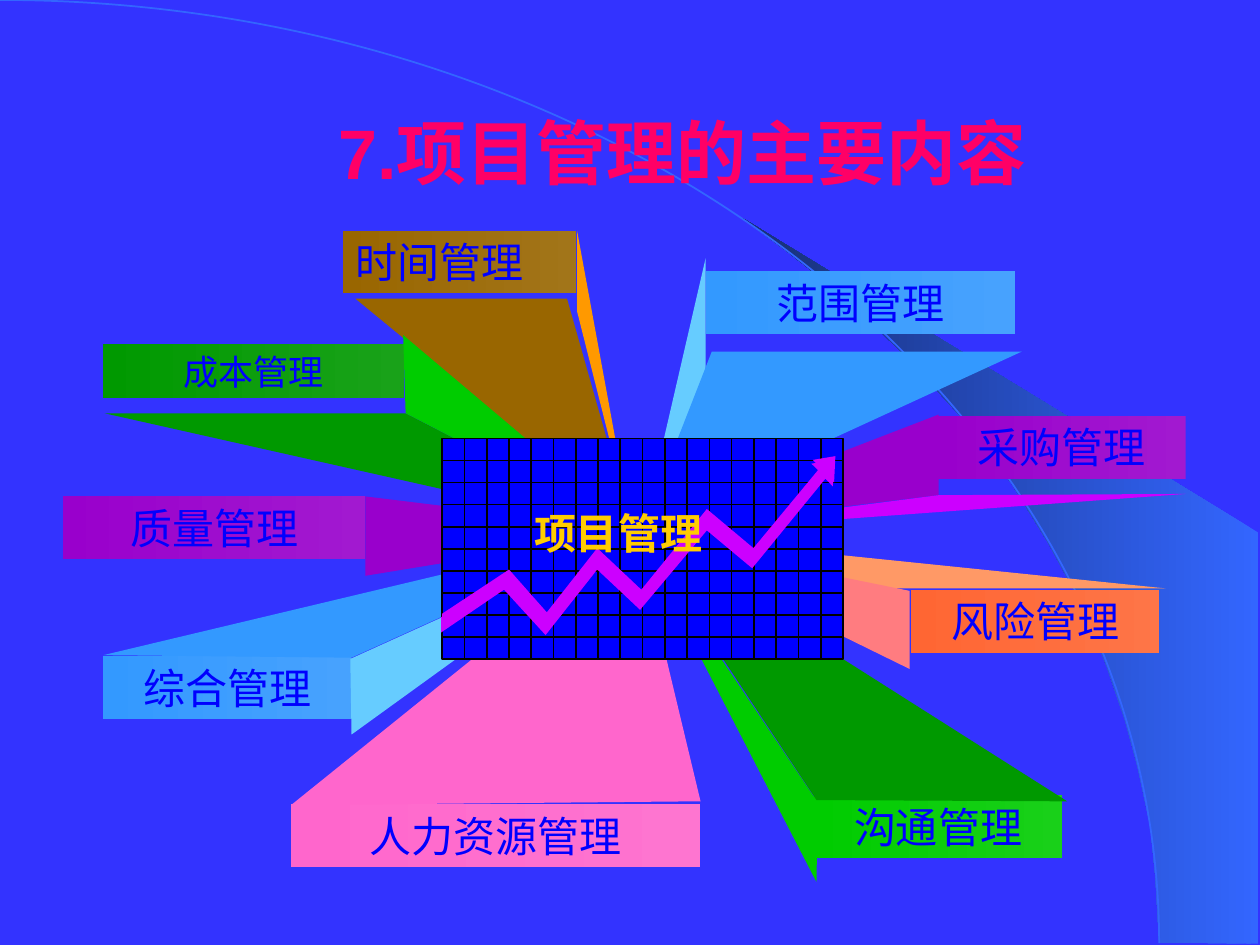
from typing import NamedTuple

from pptx import Presentation
from pptx.dml.color import RGBColor
from pptx.enum.shapes import MSO_CONNECTOR, MSO_SHAPE
from pptx.enum.text import MSO_ANCHOR, MSO_AUTO_SIZE, PP_ALIGN
from pptx.oxml.ns import qn
from pptx.util import Inches, Pt

RECT, ARC = MSO_SHAPE.RECTANGLE, MSO_SHAPE.ARC
STRAIGHT = MSO_CONNECTOR.STRAIGHT
LEFT, CENTER = PP_ALIGN.LEFT, PP_ALIGN.CENTER
TOP, MIDDLE = MSO_ANCHOR.TOP, MSO_ANCHOR.MIDDLE
GROW, FIXED = MSO_AUTO_SIZE.SHAPE_TO_FIT_TEXT, MSO_AUTO_SIZE.NONE

COLS, ROWS = 10, 7.5
SERIF, SANS = "Times New Roman", "Noto Sans CJK SC"
BLUE, BLACK, MAGENTA = "0000FF", "000000", "CC00FF"

Point = tuple[float, float]


class Box(NamedTuple):
    """A rectangle in slide columns and rows."""
    x: float
    y: float
    w: float
    h: float


class Label(NamedTuple):
    """A topic label with its gradient from right to left."""
    text: str
    box: Box
    light: str
    dark: str
    font: str = SERIF
    size: int = 24
    align: PP_ALIGN = CENTER


class Ray(NamedTuple):
    """A coloured face running from a label to the hub."""
    color: str
    points: list[Point]


LABELS = [
    Label("时间管理", Box(2.72, 1.83, 1.85, 0.5), "A27519", "996600", align=LEFT),
    Label("范围管理", Box(5.6, 2.15, 2.46, 0.5), "47A2FE", "3399FF"),
    Label("质量管理", Box(0.5, 3.94, 2.4, 0.5), "A219D0", "9900CC"),
    Label("成本管理", Box(0.82, 2.73, 2.39, 0.43), "19A219", "009900", size=20),
    Label("综合管理", Box(0.82, 5.21, 1.97, 0.5), "47A2FE", "3399FF"),
    Label("人力资源管理", Box(2.31, 6.38, 3.25, 0.5), "FE75D0", "FF66CC"),
    Label("采购管理", Box(7.44, 3.3, 1.97, 0.5), "A219D0", "9900CC", SANS),
    Label("风险管理", Box(7.23, 4.68, 1.97, 0.5), "FE7547", "FF6633", SANS),
    Label("沟通管理", Box(6.46, 6.31, 1.97, 0.5), "19D019", "00CC00"),
]

RAYS = [
    Ray("996600", [(2.82, 2.37), (4.5, 2.37), (5.01, 4.17)]),
    Ray("FF9900", [(4.58, 1.83), (4.58, 2.47), (5.01, 4.17)]),
    Ray("66CCFF", [(5.6, 2.05), (5.6, 3.02), (5.11, 4.17)]),
    Ray("3399FF", [(5.65, 2.79), (5.11, 4.17), (8.11, 2.79)]),
    Ray("9900CC", [(7.45, 3.29), (7.45, 3.93), (5.04, 4.22)]),
    Ray(MAGENTA, [(9.41, 3.92), (5.04, 4.24), (7.45, 3.93)]),
    Ray("FF9966", [(5.06, 4.24), (9.25, 4.67), (6.73, 4.67)]),
    Ray("FF7C80", [(5.06, 4.25), (7.22, 4.69), (7.22, 5.31)]),
    Ray("009900", [(0.83, 3.28), (3.22, 3.28), (5.06, 4.23)]),
    Ray("00CC00", [(3.2, 2.66), (5.06, 4.23), (3.22, 3.28)]),
    Ray("9900CC", [(2.9, 3.94), (5.1, 4.21), (2.9, 4.57)]),
    Ray("3399FF", [(0.82, 5.2), (5.06, 4.19), (2.79, 5.22)]),
    Ray("66CCFF", [(5.03, 4.21), (2.78, 5.23), (2.79, 5.83)]),
    Ray("FF66CC", [(2.31, 6.39), (5.04, 4.19), (5.56, 6.36)]),
    Ray("00CC00", [(5.04, 4.21), (6.48, 7), (6.49, 6.37)]),
    Ray("009900", [(5.05, 4.19), (8.47, 6.36), (6.48, 6.35)]),
]

SWOOSH = [
    (9.2, 7.48), (9.99, 7.49), (9.99, 4.23), (5.89, 1.73), (6.24, 1.99),
    (6.53, 2.22), (6.85, 2.5), (7.16, 2.8), (7.62, 3.3), (8.03, 3.84),
    (8.32, 4.31), (8.58, 4.79), (8.78, 5.28), (8.93, 5.72), (9.03, 6.09),
    (9.13, 6.56), (9.17, 6.96),
]
TREND = [
    (3.51, 4.87), (4.04, 4.52), (4.34, 4.86), (4.74, 4.35), (5.09, 4.68),
    (5.61, 4.04), (5.98, 4.35), (6.51, 3.71), (6.45, 3.65), (6.63, 3.62),
    (6.62, 3.83), (6.56, 3.77), (5.98, 4.48), (5.62, 4.18), (5.09, 4.81),
    (4.75, 4.49), (4.34, 5.01), (4.01, 4.65), (3.51, 4.99),
]
TREND_OFFSETS = [(-0.01, 0.03), (0, 0)]
HUB = Box(3.51, 3.48, 3.18, 1.75)
HUB_COLS, HUB_ROWS = 18, 10


def rgb(color: str) -> RGBColor:
    """Turn a hex string into a colour."""
    return RGBColor.from_string(color)


def emu(box: Box) -> list[int]:
    """Convert a box to slide units."""
    return [Inches(v) for v in box]


def paint(sp, *colors: str) -> None:
    """Fill flat, or with a right-to-left gradient when two colours are given."""
    sp.shadow.inherit = False
    sp.line.fill.background()
    if len(colors) == 1:
        sp.fill.solid()
        sp.fill.fore_color.rgb = rgb(colors[0])
        return
    sp.fill.gradient()
    sp.fill.gradient_angle = 180
    for stop, color in zip(sp.fill.gradient_stops, colors):
        stop.color.rgb = rgb(color)


def stroke(sp, color: str) -> None:
    """Draw a one-point line."""
    sp.line.color.rgb = rgb(color)
    sp.line.width = Pt(1)


def write(sp, text: str, size: int, font: str, color: str, align: PP_ALIGN = LEFT,
          bold: bool = False, anchor: MSO_ANCHOR = TOP,
          auto_size: MSO_AUTO_SIZE = GROW, wrap: bool = True) -> None:
    """Set the text of a shape and its format."""
    tf = sp.text_frame
    tf.word_wrap, tf.auto_size, tf.vertical_anchor = wrap, auto_size, anchor
    p = tf.paragraphs[0]
    p.text, p.alignment = text, align
    p.font.size, p.font.name, p.font.bold = Pt(size), font, bold
    p.font.color.rgb = rgb(color)


def polygon(s, points: list[Point], *colors: str) -> None:
    """Draw a closed, filled outline."""
    start, *rest = [(Inches(x), Inches(y)) for x, y in points]
    builder = s.shapes.build_freeform(*start, scale=1.0)
    builder.add_line_segments(rest, close=True)
    paint(builder.convert_to_shape(), *colors)


def grid_line(s, x1: float, y1: float, x2: float, y2: float) -> None:
    """Draw one line of the hub grid."""
    ln = s.shapes.add_connector(STRAIGHT, *[Inches(v) for v in (x1, y1, x2, y2)])
    stroke(ln, BLACK)
    sp_pr = ln._element.spPr
    sp_pr.append(sp_pr.makeelement(qn("a:effectLst"), {}))


def backdrop(s) -> None:
    """Draw the background, the swoosh and its arc."""
    s.background.fill.solid()
    s.background.fill.fore_color.rgb = rgb("3333FF")
    polygon(s, SWOOSH, "3366FF", "172F75")
    arc = s.shapes.add_shape(ARC, *emu(Box(-9.2, 0, 18.4, 14.97)))
    arc.shadow.inherit = False
    arc.fill.background()
    stroke(arc, "3366FF")


def label(s, item: Label) -> None:
    """Draw one topic label."""
    sp = s.shapes.add_shape(RECT, *emu(item.box))
    paint(sp, item.light, item.dark)
    write(sp, item.text, item.size, item.font, BLUE, item.align)


def hub(s) -> None:
    """Draw the central chart board with its grid, trend arrow and caption."""
    x, y, w, h = HUB
    sp = s.shapes.add_shape(RECT, *emu(HUB))
    paint(sp, BLUE)
    stroke(sp, BLACK)
    for i in range(1, HUB_COLS):
        col = x + w * i / HUB_COLS
        grid_line(s, col, y, col, y + h)
    for i in range(1, HUB_ROWS):
        row = y + h * i / HUB_ROWS
        grid_line(s, x, row, x + w, row)
    for dx, dy in TREND_OFFSETS:
        polygon(s, [(px + dx, py + dy) for px, py in TREND], MAGENTA)
    caption = s.shapes.add_textbox(*emu(Box(4.14, 3.98, 1.54, 0.5)))
    write(caption, "项目管理", 24, SANS, "FFCC00", bold=True, wrap=False)


def main() -> None:
    """Build the slide and save it."""
    prs = Presentation()
    prs.slide_width, prs.slide_height = Inches(COLS), Inches(ROWS)
    s = prs.slides.add_slide(prs.slide_layouts[6])
    backdrop(s)
    title = s.shapes.add_textbox(*emu(Box(2.08, 0.58, 6.67, 1.25)))
    write(title, "7.项目管理的主要内容", 40, "Arial", "FF0066", CENTER, True, MIDDLE, FIXED)
    for item in LABELS:
        label(s, item)
    for ray in RAYS:
        polygon(s, ray.points, ray.color)
    hub(s)
    prs.save("out.pptx")


if __name__ == "__main__":
    main()
